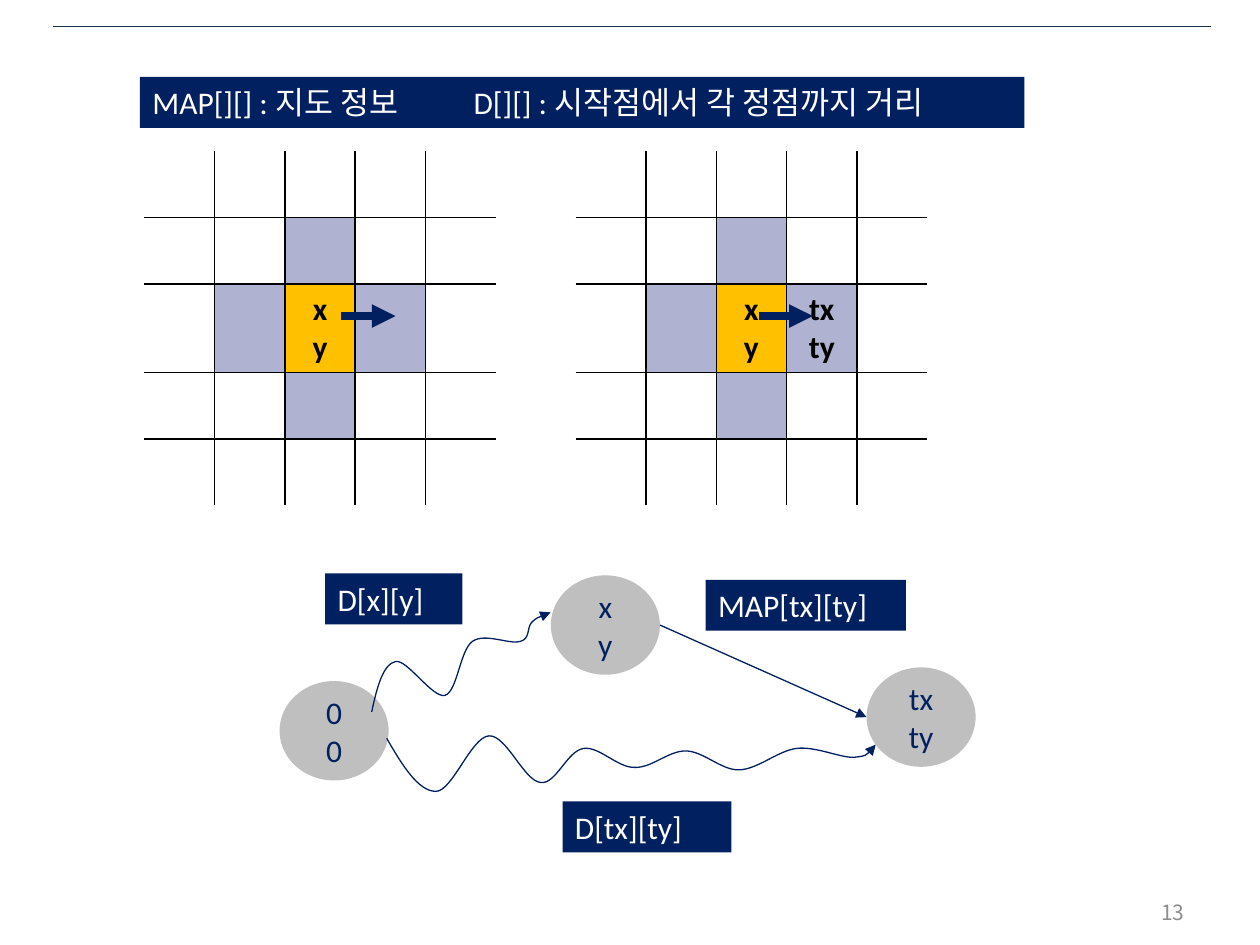
from typing import NamedTuple

from lxml.etree import SubElement
from pptx import Presentation
from pptx.dml.color import RGBColor
from pptx.enum.shapes import MSO_CONNECTOR as Conn, MSO_SHAPE as Shape
from pptx.enum.text import MSO_ANCHOR as Anchor, MSO_AUTO_SIZE as Fit, PP_ALIGN as Align
from pptx.oxml.ns import qn
from pptx.util import Pt

COLORS = {
    "navy": "002060", "rule": "1C314E", "lilac": "AFB2D0", "gold": "FFC000",
    "gray": "BFBFBF", "number": "8C8C8C", "black": "000000", "white": "FFFFFF",
}
KOREAN = "Noto Sans CJK KR"
GRID_SIZE = 5
COL_WIDTH = 40.2
ROW_HEIGHT = 38


class Label(NamedTuple):
    text: str
    x: float
    y: float
    w: float


class Node(NamedTuple):
    text: str
    x: float
    y: float


class Grid(NamedTuple):
    x: float
    middle_height: float
    texts: dict[tuple[int, int], str]


class Line(NamedTuple):
    x1: float
    y1: float
    x2: float
    y2: float
    width: float
    color: str = "navy"
    arrow: bool = True


GRIDS = [
    Grid(82.4, 42, {(2, 2): "x\ny"}),
    Grid(328.9, 38, {(2, 2): "x\ny", (2, 3): "tx\nty"}),
]
TITLES = [
    Label("MAP[][] : 지도 정보", 80, 44, 183.6),
    Label("D[][] : 시작점에서 각 정점까지 거리", 263.6, 44, 321.8),
]
COSTS = [
    Label("MAP[tx][ty]", 403.2, 331.3, 114.5),
    Label("D[tx][ty]", 321.5, 458, 96.5),
    Label("D[x][y]", 185.8, 327.7, 78.5),
]
NODES = [Node("tx\nty", 495.2, 381.4), Node("x\ny", 314.8, 328.8), Node("0\n0", 159.8, 389.2)]
GRID_ARROWS = [Line(195, 180.6, 226, 180.6, 4.5), Line(433.5, 180.6, 464.5, 180.6, 4.5)]
RULE = Line(30.3, 15.1, 692, 15.1, 0.25, "rule", False)
EDGE = Line(377.2, 357.2, 495.2, 409.8, 0.75)
PATHS = [
    [(212.4, 406.8),
     (215.3, 393.1), (218.9, 379.4), (226.1, 378), (232.6, 376.6), (247, 398.9), (254.2, 397.4),
     (261.4, 395.3), (262.8, 371.5), (270, 366.5), (277.2, 361.4), (291.6, 368.6), (297.4, 366.5),
     (303.1, 365), (301, 358.6), (303.8, 355.7), (306.7, 352.8), (311, 351.4), (314.6, 349.9)],
    [(221, 421.9),
     (229.7, 437), (239, 452.2), (249.1, 452.2), (258.5, 452.2), (269.3, 421.2), (279.4, 420.5),
     (289.4, 419.8), (299.5, 446.4), (308.9, 447.1), (317.5, 448.6), (324, 429.1), (333.4, 427.7),
     (342, 426.2), (352.8, 438.5), (362.2, 438.5), (372.2, 439.2), (381.6, 429.1), (391.7, 429.1),
     (401.8, 429.1), (411.8, 439.9), (421.9, 439.9), (432.7, 439.9), (444.2, 429.1), (455, 427.7),
     (465.8, 426.2), (481, 433.4), (488.2, 432.7), (495.4, 432), (498.2, 429.1), (500.4, 425.5)],
]


def rgb(name: str) -> RGBColor:
    return RGBColor.from_string(COLORS[name])


def write(tf, text: str, *, color: str, size: float = 18, font: str = "Calibri",
          bold: bool = False, align=Align.LEFT) -> None:
    for i, line in enumerate(text.split("\n")):
        p = tf.add_paragraph() if i else tf.paragraphs[0]
        p.alignment = align
        r = p.add_run()
        r.text = line
        r.font.size = Pt(size)
        r.font.bold = bold
        r.font.name = font
        r.font.color.rgb = rgb(color)
        SubElement(r._r.get_or_add_rPr(), qn("a:ea"), typeface=KOREAN)


def style_line(s, color: str, width: float, arrow: bool) -> None:
    s.line.color.rgb = rgb(color)
    s.line.width = Pt(width)
    if arrow:
        SubElement(s.line._get_or_add_ln(), qn("a:tailEnd"), type="triangle")


def add_line(shapes, line: Line) -> None:
    s = shapes.add_connector(Conn.STRAIGHT, Pt(line.x1), Pt(line.y1), Pt(line.x2), Pt(line.y2))
    style_line(s, line.color, line.width, line.arrow)
    SubElement(s._element.spPr, qn("a:effectLst"))


def add_filled(shapes, kind, x: float, y: float, w: float, h: float, color: str):
    s = shapes.add_shape(kind, Pt(x), Pt(y), Pt(w), Pt(h))
    s.shadow.inherit = False
    s.fill.solid()
    s.fill.fore_color.rgb = rgb(color)
    s.line.fill.background()
    return s


def add_label(shapes, label: Label) -> None:
    s = add_filled(shapes, Shape.RECTANGLE, label.x, label.y, label.w, 29.1, "navy")
    tf = s.text_frame
    tf.word_wrap = False
    tf.auto_size = Fit.SHAPE_TO_FIT_TEXT
    tf.vertical_anchor = Anchor.TOP
    write(tf, label.text, color="white")


def add_node(shapes, node: Node) -> None:
    s = add_filled(shapes, Shape.OVAL, node.x, node.y, 62.3, 56.8, "gray")
    s.text_frame.vertical_anchor = Anchor.MIDDLE
    write(s.text_frame, node.text, color="navy", align=Align.CENTER)


def add_curve(shapes, points: list[tuple[float, float]]) -> None:
    start, *rest = [(Pt(x), Pt(y)) for x, y in points]
    builder = shapes.build_freeform(*start)
    builder.add_line_segments(rest, close=False)
    s = builder.convert_to_shape()
    s.shadow.inherit = False
    s.fill.background()
    style_line(s, "navy", 0.75, True)
    path = s._element.find(".//" + qn("a:path"))
    segments = path.findall(qn("a:lnTo"))
    for i in range(0, len(segments), 3):
        bezier = SubElement(path, qn("a:cubicBezTo"))
        for segment in segments[i:i + 3]:
            bezier.append(segment[0])
            path.remove(segment)


def set_borders(cell, row: int, col: int) -> None:
    last = GRID_SIZE - 1
    inner = {"lnL": col > 0, "lnR": col < last, "lnT": row > 0, "lnB": row < last}
    for side, visible in inner.items():
        ln = SubElement(cell._tc.get_or_add_tcPr(), qn(f"a:{side}"), w=str(Pt(1)))
        if visible:
            fill = SubElement(ln, qn("a:solidFill"))
            SubElement(fill, qn("a:srgbClr"), val=COLORS["black"])
        else:
            SubElement(ln, qn("a:noFill"))


def add_grid(shapes, grid: Grid) -> None:
    height = ROW_HEIGHT * (GRID_SIZE - 1) + grid.middle_height
    table = shapes.add_table(GRID_SIZE, GRID_SIZE, Pt(grid.x), Pt(86.4),
                             Pt(COL_WIDTH * GRID_SIZE), Pt(height)).table
    table.first_row = table.horz_banding = False
    center = GRID_SIZE // 2
    for i in range(GRID_SIZE):
        table.columns[i].width = Pt(COL_WIDTH)
        table.rows[i].height = Pt(grid.middle_height if i == center else ROW_HEIGHT)
    for row in range(GRID_SIZE):
        for col in range(GRID_SIZE):
            cell = table.cell(row, col)
            set_borders(cell, row, col)
            distance = abs(row - center) + abs(col - center)
            if distance > 1:
                cell.fill.background()
            else:
                cell.fill.solid()
                cell.fill.fore_color.rgb = rgb("lilac" if distance else "gold")
            if (row, col) in grid.texts:
                cell.vertical_anchor = Anchor.MIDDLE
                write(cell.text_frame, grid.texts[row, col], color="black", bold=True,
                      align=Align.CENTER)


def main() -> None:
    prs = Presentation()
    prs.slide_width, prs.slide_height = Pt(720), Pt(540)
    shapes = prs.slides.add_slide(prs.slide_layouts[6]).shapes
    add_line(shapes, RULE)
    tf = shapes.add_textbox(Pt(516), Pt(507), Pt(168), Pt(28.8)).text_frame
    tf.word_wrap = True
    tf.vertical_anchor = Anchor.MIDDLE
    write(tf, "13", color="number", size=12, font=KOREAN, align=Align.RIGHT)
    for grid, title in zip(GRIDS, TITLES):
        add_grid(shapes, grid)
        add_label(shapes, title)
    for line in [*GRID_ARROWS, EDGE]:
        add_line(shapes, line)
    for node in NODES:
        add_node(shapes, node)
    for points in PATHS:
        add_curve(shapes, points)
    for label in COSTS:
        add_label(shapes, label)
    prs.save("out.pptx")


if __name__ == "__main__":
    main()
